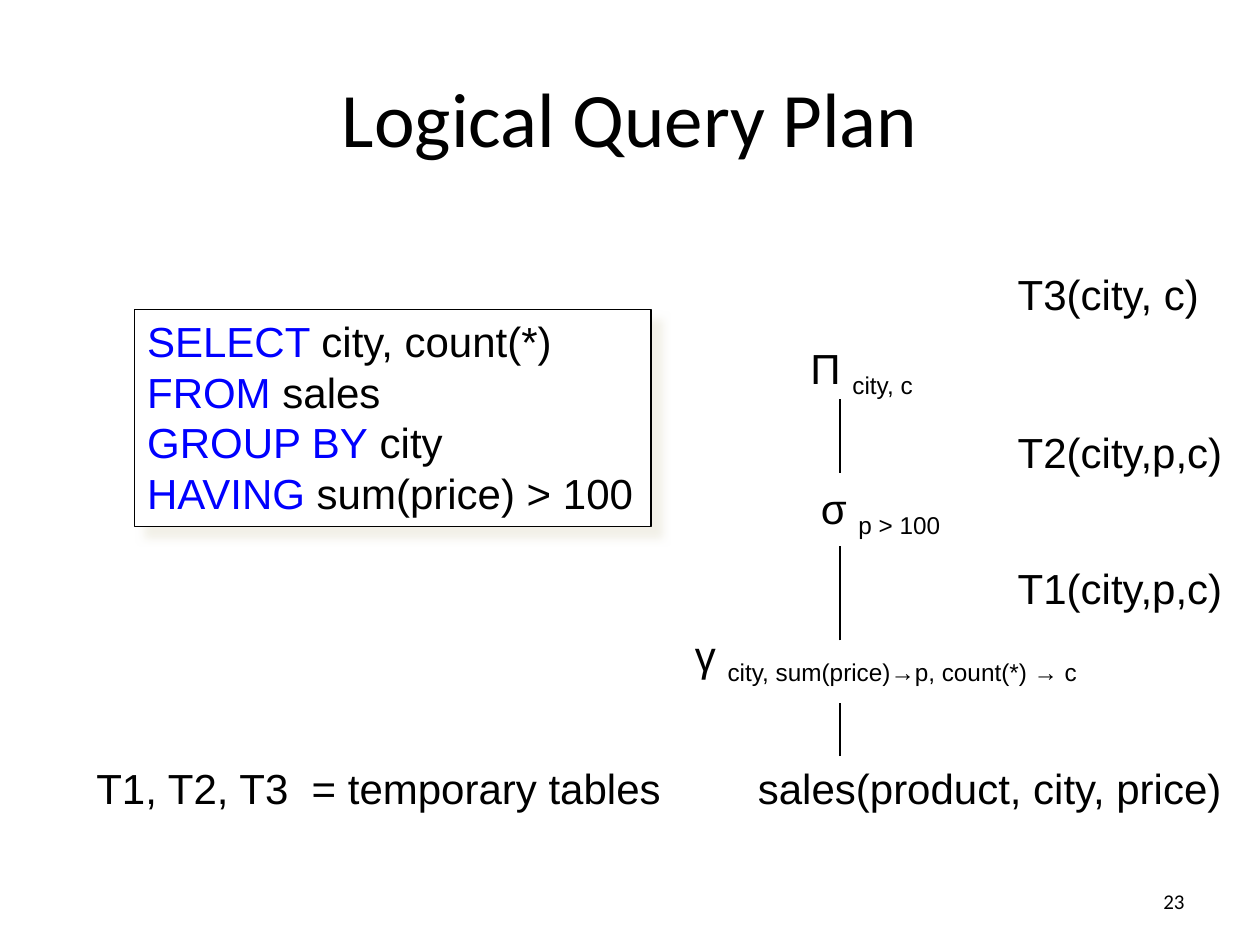
from dataclasses import dataclass

from lxml.etree import SubElement
from pptx import Presentation
from pptx.dml.color import RGBColor
from pptx.enum.shapes import MSO_CONNECTOR, MSO_SHAPE
from pptx.enum.text import MSO_ANCHOR as Anchor, MSO_AUTO_SIZE as AutoSize, PP_ALIGN as Align
from pptx.oxml.ns import qn
from pptx.util import Pt


@dataclass(frozen=True)
class Theme:
    """Colours, fonts and type sizes of the slide."""
    ink: RGBColor = RGBColor(0, 0, 0)
    keyword: RGBColor = RGBColor(0, 0, 255)
    paper: RGBColor = RGBColor(255, 255, 255)
    shadow: str = "EEECE1"
    heading_font: str = "Calibri"
    body_font: str = "Arial"
    title_size: int = 44
    body_size: int = 24
    number_size: int = 12
    line_width: float = 0.75


THEME = Theme()
AXIS = 480
TABLE_LEFT = 574.5
ROW_HEIGHT = 36

QUERY = [
    ("SELECT ", "city, count(*)"),
    ("FROM", " sales"),
    ("GROUP BY", " city"),
    ("HAVING ", "sum(price) > 100"),
]
# symbol, subscript, left, top, width
OPERATORS = [
    ("Π ", "city, c", 456, 192, 79),
    ("σ ", "p > 100", 462, 272, 89),
    ("γ ", "city, sum(price)→p, count(*) → c ", 390, 356, 276),
]
# text, left, top, width
LABELS = [
    ("T3(city, c)", TABLE_LEFT, 150, 119),
    ("T2(city,p,c)", TABLE_LEFT, 240, 132.5),
    ("T1(city,p,c)", TABLE_LEFT, 318, 132.5),
    ("sales(product, city, price)", 426, 432, 282),
    ("T1, T2, T3  = temporary tables", 48, 432, 340.5),
]
EDGES = [(228, 270), (312, 366), (402, 432)]


def add_run(paragraph, text, size=THEME.body_size, font=THEME.body_font,
            color=THEME.ink, subscript=False):
    """Append one formatted run to a paragraph."""
    run = paragraph.add_run()
    run.text = text
    run.font.size = Pt(size)
    run.font.name = font
    run.font.color.rgb = color
    if subscript:
        run._r.get_or_add_rPr().set("baseline", "-25000")


def add_text_box(slide, left, top, width, height=ROW_HEIGHT):
    """Add an unwrapped text box and return its first paragraph."""
    box = slide.shapes.add_textbox(Pt(left), Pt(top), Pt(width), Pt(height))
    box.text_frame.word_wrap = False
    box.text_frame.auto_size = AutoSize.SHAPE_TO_FIT_TEXT
    return box.text_frame.paragraphs[0]


def add_title(slide, text):
    """Place and fill the title placeholder."""
    title = slide.shapes.title
    title.left, title.top, title.width, title.height = Pt(36), Pt(21.6), Pt(648), Pt(90)
    title.text_frame.vertical_anchor = Anchor.MIDDLE
    paragraph = title.text_frame.paragraphs[0]
    paragraph.alignment = Align.CENTER
    add_run(paragraph, text, THEME.title_size, THEME.heading_font)


def add_slide_number(slide, text):
    """Add the number at the lower right."""
    box = slide.shapes.add_textbox(Pt(516), Pt(500.5), Pt(168), Pt(28.75))
    box.text_frame.word_wrap = True
    box.text_frame.vertical_anchor = Anchor.MIDDLE
    paragraph = box.text_frame.paragraphs[0]
    paragraph.alignment = Align.RIGHT
    add_run(paragraph, text, THEME.number_size, THEME.heading_font)


def set_soft_shadow(shape):
    """Give a shape a soft shadow towards the lower right."""
    shape.shadow.inherit = False
    effects = shape._element.spPr.find(qn("a:effectLst"))
    shadow = SubElement(effects, qn("a:outerShdw"), blurRad=str(Pt(5)),
                        dist=str(Pt(8.5)), dir="2700000", algn="tl", rotWithShape="0")
    color = SubElement(shadow, qn("a:srgbClr"), val=THEME.shadow)
    SubElement(color, qn("a:alpha"), val="75000")


def add_query_box(slide, lines):
    """Add the framed query with coloured keywords."""
    box = slide.shapes.add_shape(MSO_SHAPE.RECTANGLE, Pt(77), Pt(177), Pt(295), Pt(124))
    box.fill.solid()
    box.fill.fore_color.rgb = THEME.paper
    box.line.color.rgb = THEME.ink
    box.line.width = Pt(THEME.line_width)
    set_soft_shadow(box)
    frame = box.text_frame
    frame.word_wrap = False
    frame.auto_size = AutoSize.SHAPE_TO_FIT_TEXT
    frame.vertical_anchor = Anchor.TOP
    for index, (keyword, rest) in enumerate(lines):
        paragraph = frame.add_paragraph() if index else frame.paragraphs[0]
        paragraph.alignment = Align.LEFT
        add_run(paragraph, keyword, color=THEME.keyword)
        add_run(paragraph, rest)


def add_operator(slide, symbol, subscript, left, top, width):
    """Add an algebra operator with its subscript."""
    paragraph = add_text_box(slide, left, top, width)
    add_run(paragraph, symbol)
    add_run(paragraph, subscript, subscript=True)


def add_edge(slide, top, bottom):
    """Add a vertical edge of the plan tree."""
    edge = slide.shapes.add_connector(MSO_CONNECTOR.STRAIGHT, Pt(AXIS), Pt(bottom),
                                      Pt(AXIS), Pt(top))
    edge.line.color.rgb = THEME.ink
    edge.line.width = Pt(THEME.line_width)
    SubElement(edge._element.spPr, qn("a:effectLst"))


def main():
    """Build and save the slide."""
    presentation = Presentation()
    presentation.slide_width, presentation.slide_height = Pt(720), Pt(540)
    slide = presentation.slides.add_slide(presentation.slide_layouts[5])
    add_title(slide, "Logical Query Plan")
    add_slide_number(slide, "23")
    add_query_box(slide, QUERY)
    for operator in OPERATORS:
        add_operator(slide, *operator)
    for edge in EDGES:
        add_edge(slide, *edge)
    for text, *place in LABELS:
        add_run(add_text_box(slide, *place), text)
    presentation.save("out.pptx")


main()
